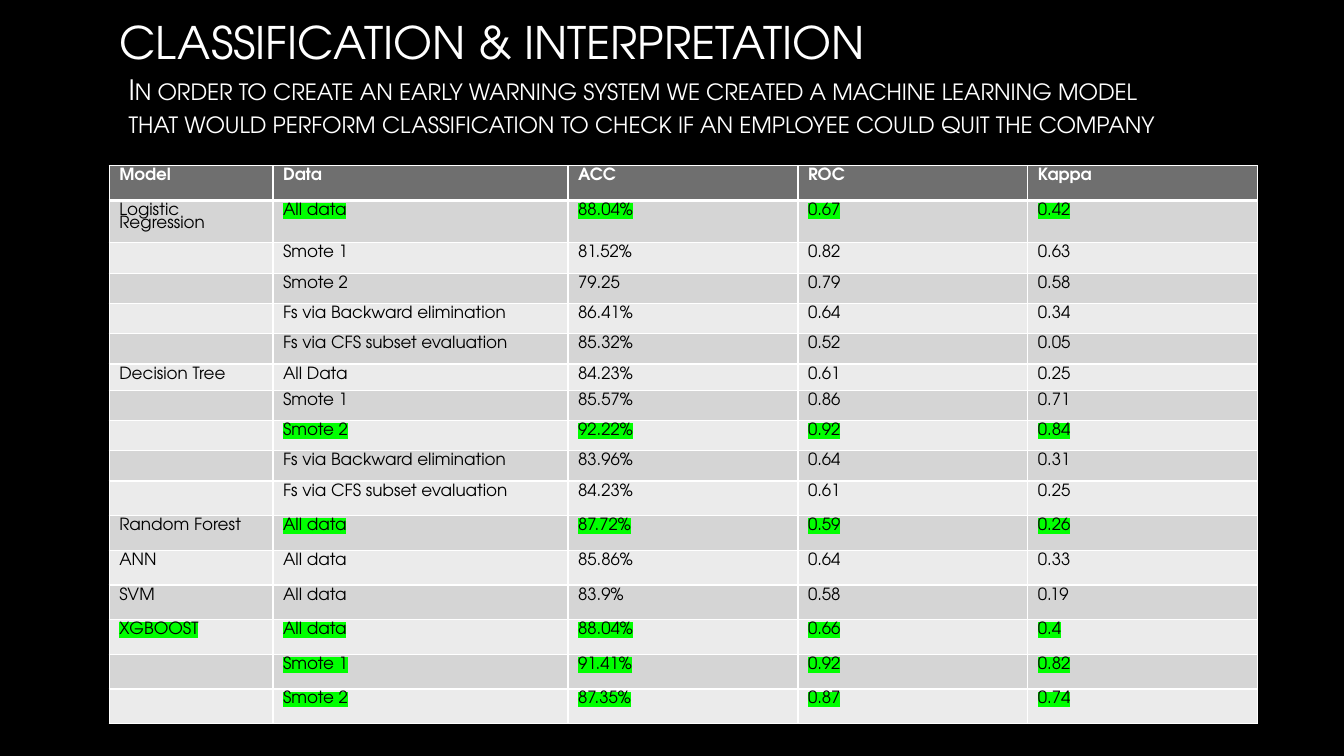
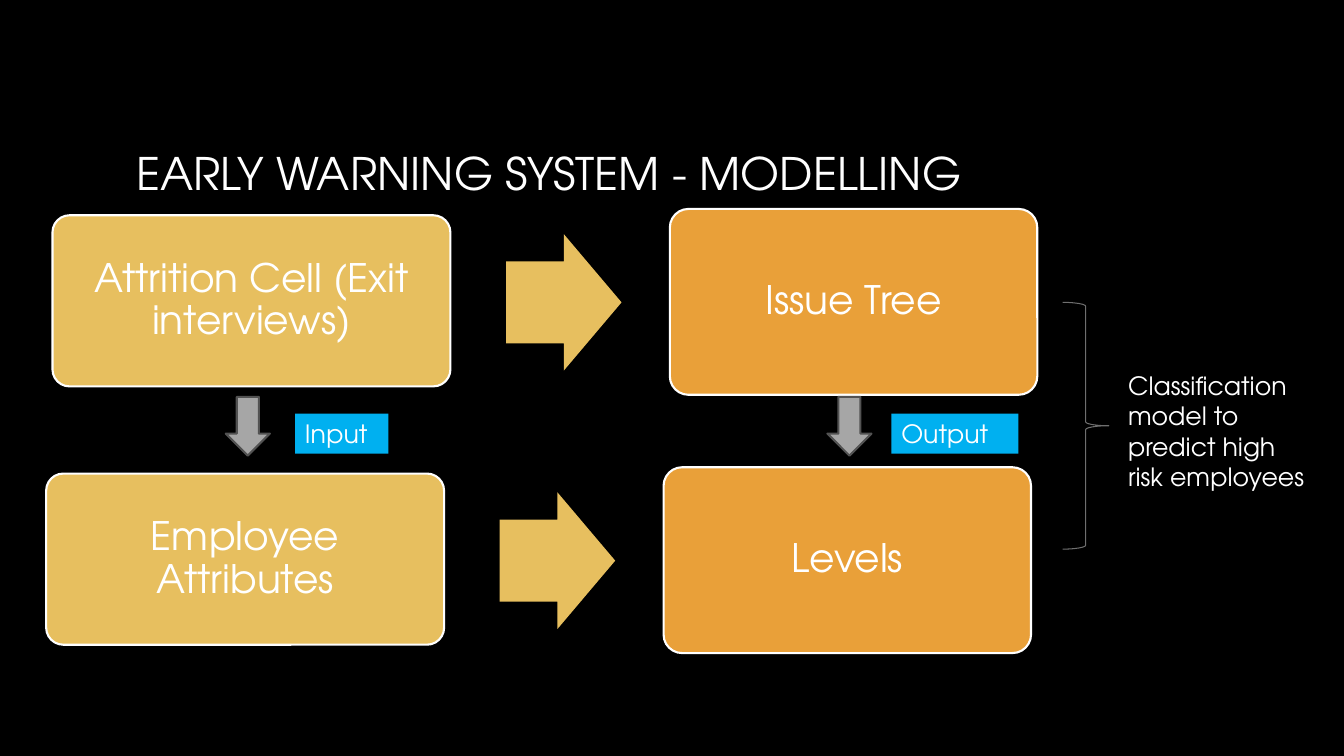
from dataclasses import dataclass

from lxml.etree import SubElement
from pptx import Presentation
from pptx.dml.color import RGBColor
from pptx.enum.shapes import MSO_SHAPE
from pptx.enum.text import MSO_ANCHOR, MSO_AUTO_SIZE, PP_ALIGN
from pptx.oxml.ns import qn
from pptx.util import Emu, Pt

SCALE = 9525  # EMU in one px
FONT = "TeX Gyre Adventor"
COLORS = {
    "black": "000000", "white": "FFFFFF", "lime": "00FF00",
    "head": "6F6F6F", "odd": "D5D5D5", "even": "EBEBEB",
    "gold": "E7BF5F", "orange": "E9A039", "blue": "00B0F0",
    "gray": "A6A6A6", "edge": "525252",
}


@dataclass(frozen=True)
class Box:
    x: int
    y: int
    w: int
    h: int

    def shift(self, dx: int, dy: int) -> "Box":
        return Box(self.x + dx, self.y + dy, self.w, self.h)

    def emu(self) -> list[Emu]:
        return [px(n) for n in (self.x, self.y, self.w, self.h)]


@dataclass(frozen=True)
class Row:
    """A table row; cells from column hot onward are highlighted."""
    cells: tuple[str, ...]
    height: int = 23
    hot: int = 5


@dataclass(frozen=True)
class Step:
    """An arrow between two cards."""
    dx: int
    dy: int
    cause: str
    result: str


@dataclass(frozen=True)
class Link:
    """A down arrow with a label beside it."""
    x: int
    label: str
    left: int
    width: int


TALL = 33
COLS = (156, 281, 219, 219, 219)
ROWS = (
    Row(("Model", "Data", "ACC", "ROC", "Kappa"), TALL),
    Row(("Logistic Regression", "All data", "88.04%", "0.67", "0.42"), 39, 1),
    Row(("", "Smote 1", "81.52%", "0.82", "0.63")),
    Row(("", "Smote 2", "79.25", "0.79", "0.58")),
    Row(("", "Fs via Backward elimination", "86.41%", "0.64", "0.34")),
    Row(("", "Fs via CFS subset evaluation", "85.32%", "0.52", "0.05"), 28),
    Row(("Decision Tree", "All Data", "84.23%", "0.61", "0.25")),
    Row(("", "Smote 1", "85.57%", "0.86", "0.71")),
    Row(("", "Smote 2", "92.22%", "0.92", "0.84"), hot=1),
    Row(("", "Fs via Backward elimination", "83.96%", "0.64", "0.31")),
    Row(("", "Fs via CFS subset evaluation", "84.23%", "0.61", "0.25"), TALL),
    Row(("Random Forest", "All data", "87.72%", "0.59", "0.26"), TALL, 1),
    Row(("ANN", "All data", "85.86%", "0.64", "0.33"), TALL),
    Row(("SVM", "All data", "83.9%", "0.58", "0.19"), TALL),
    Row(("XGBOOST", "All data", "88.04%", "0.66", "0.4"), TALL, 0),
    Row(("", "Smote 1", "91.41%", "0.92", "0.82"), TALL, 0),
    Row(("", "Smote 2", "87.35%", "0.87", "0.74"), TALL, 0),
)
STEPS = (
    Step(0, 0, "Attrition Cell (Exit interviews)", "Issue Tree"),
    Step(-6, 246, "Employee Attributes", "Levels"),
)
LINKS = (Link(215, "Input", 281, 89), Link(788, "Output", 849, 121))


def px(n: int) -> Emu:
    return Emu(n * SCALE)


def rgb(name: str) -> RGBColor:
    return RGBColor.from_string(COLORS[name])


def write(frame, text: str, *, size: int, color: str = "white",
          bold: bool = False, align=PP_ALIGN.LEFT, anchor=MSO_ANCHOR.TOP,
          space: float = 1.0, inset: int | None = None,
          small: bool = False, mark: str = "") -> None:
    """Fill a text frame; small sets small caps, mark a highlight."""
    frame.word_wrap = True
    frame.vertical_anchor = anchor
    if inset is not None:
        frame.margin_left = frame.margin_right = px(inset)
        frame.margin_top = frame.margin_bottom = px(inset)
    para = frame.paragraphs[0]
    para.alignment = align
    para.line_spacing = space
    if not text:
        SubElement(para._p, qn("a:endParaRPr"), sz=str(size * 100))
        return
    run = para.add_run()
    run.text = text
    font = run.font
    font.name, font.size, font.bold = FONT, Pt(size), bold
    font.color.rgb = rgb(color)
    props = font._element
    if small:
        props.set("cap", "small")
    if mark:
        light = SubElement(props, qn("a:highlight"))
        SubElement(light, qn("a:srgbClr"), val=COLORS[mark])
        props.find(qn("a:solidFill")).addnext(light)


def draw(slide, kind, box: Box, *, fill: str = "", line: str = "",
         width: float = 1.5, adjust: tuple[float, ...] = ()):
    shape = slide.shapes.add_shape(kind, *box.emu())
    shape.shadow.inherit = False
    if fill:
        shape.fill.solid()
        shape.fill.fore_color.rgb = rgb(fill)
    else:
        shape.fill.background()
    if line:
        shape.line.color.rgb = rgb(line)
        shape.line.width = Pt(width)
    else:
        shape.line.fill.background()
    for i, value in enumerate(adjust):
        shape.adjustments[i] = value
    return shape


def note(slide, box: Box, text: str, **style) -> None:
    write(slide.shapes.add_textbox(*box.emu()).text_frame, text, **style)


def start(deck, title: str, box: Box, anchor):
    """Add a slide with its title in place."""
    slide = deck.slides.add_slide(deck.slide_layouts[5])
    head = slide.shapes.title
    head.left, head.top, head.width, head.height = box.emu()
    head.text_frame.auto_size = MSO_AUTO_SIZE.NONE
    write(head.text_frame, title, size=32, anchor=anchor)
    return slide


def border(cell, top: int, base: int) -> None:
    """Rule a cell in white; top and base are widths in points."""
    props = cell._tc.get_or_add_tcPr()
    sides = (("a:lnL", 1), ("a:lnR", 1), ("a:lnT", top), ("a:lnB", base))
    for i, (side, width) in enumerate(sides):
        line = SubElement(props, qn(side), w=str(Pt(width)))
        fill = SubElement(line, qn("a:solidFill"))
        SubElement(fill, qn("a:srgbClr"), val=COLORS["white"])
        props.insert(i, line)


def scores(slide) -> None:
    box = Box(104, 158, sum(COLS), sum(row.height for row in ROWS))
    table = slide.shapes.add_table(len(ROWS), len(COLS), *box.emu()).table
    table.horz_banding = False
    for col, width in zip(table.columns, COLS):
        col.width = px(width)
    for i, row in enumerate(ROWS):
        table.rows[i].height = px(row.height)
        head = i == 0
        fill = "head" if head else ("even", "odd")[i % 2]
        for j, text in enumerate(row.cells):
            cell = table.cell(i, j)
            cell.fill.solid()
            cell.fill.fore_color.rgb = rgb(fill)
            border(cell, 3 if i == 1 else 1, 3 if head else 1)
            write(cell.text_frame, text, size=12, space=0.8, bold=head,
                  color="white" if head else "black",
                  mark="lime" if j >= row.hot else "")


def card(slide, box: Box, text: str, fill: str) -> None:
    shape = draw(slide, MSO_SHAPE.ROUNDED_RECTANGLE, box, fill=fill,
                 line="white", adjust=(0.1,))
    write(shape.text_frame, text, size=28, align=PP_ALIGN.CENTER,
          anchor=MSO_ANCHOR.MIDDLE, space=0.9, inset=12)


def flow(slide) -> None:
    for step in STEPS:
        move = (step.dx, step.dy)
        card(slide, Box(50, 205, 379, 163).shift(*move), step.cause, "gold")
        draw(slide, MSO_SHAPE.RIGHT_ARROW, Box(482, 223, 110, 130).shift(*move),
             fill="gold", adjust=(0.6, 0.5))
        card(slide, Box(638, 199, 350, 177).shift(*move), step.result, "orange")
    for link in LINKS:
        draw(slide, MSO_SHAPE.DOWN_ARROW, Box(link.x, 378, 42, 56),
             fill="gray", line="edge")
        tag = draw(slide, MSO_SHAPE.RECTANGLE,
                   Box(link.left, 394, link.width, 38), fill="blue")
        write(tag.text_frame, link.label, size=18)
    draw(slide, MSO_SHAPE.RIGHT_BRACE, Box(1012, 288, 44, 235),
         line="head", width=0.75)
    note(slide, Box(1065, 348, 188, 126),
         "Classification model to predict high risk employees", size=18)


def main() -> None:
    deck = Presentation()
    deck.slide_width, deck.slide_height = px(1280), px(720)
    back = deck.slide_master.background.fill
    back.solid()
    back.fore_color.rgb = rgb("black")

    slide = start(deck, "CLASSIFICATION & INTERPRETATION",
                  Box(104, 9, 1040, 77), MSO_ANCHOR.TOP)
    note(slide, Box(113, 64, 1020, 108),
         "In order to create an early warning system we created a machine "
         "learning model that would perform classification to check if an "
         "employee could quit the company", size=20, small=True)
    scores(slide)

    slide = start(deck, "EARLY WARNING SYSTEM - MODELLING",
                  Box(120, 64, 1040, 200), MSO_ANCHOR.MIDDLE)
    flow(slide)
    deck.save("out.pptx")


if __name__ == "__main__":
    main()
